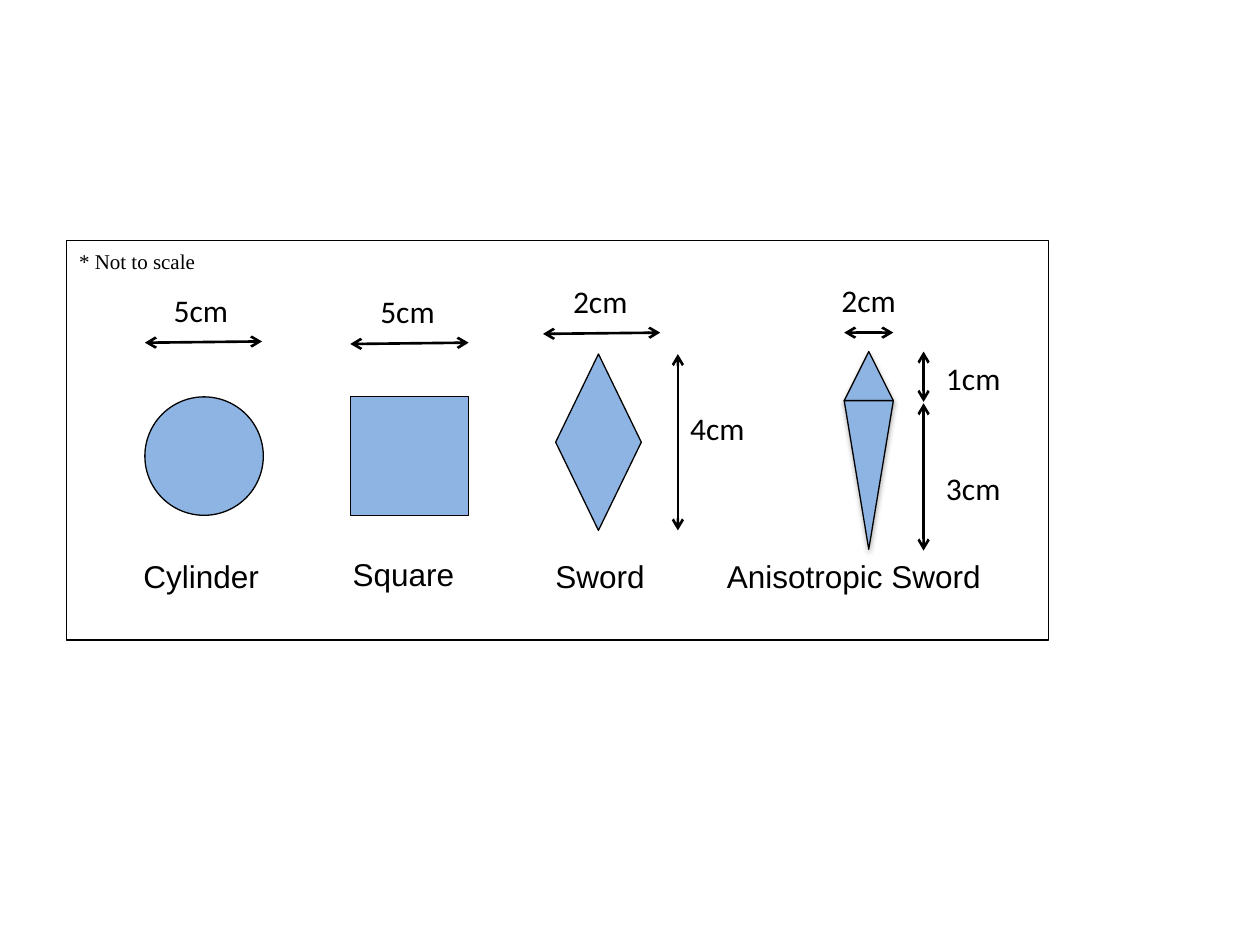
from lxml import etree
from pptx import Presentation
from pptx.dml.color import RGBColor
from pptx.enum.shapes import MSO_CONNECTOR, MSO_SHAPE
from pptx.enum.text import MSO_AUTO_SIZE
from pptx.oxml import parse_xml
from pptx.oxml.ns import nsdecls, qn
from pptx.util import Inches, Pt

BLACK = RGBColor.from_string("000000")
BLUE = RGBColor.from_string("8EB4E3")
SHADOW = (
    f'<a:outerShdw {nsdecls("a")} blurRad="40000" dist="23000" dir="5400000" rotWithShape="0">'
    '<a:srgbClr val="000000"><a:alpha val="35000"/></a:srgbClr></a:outerShdw>'
)


def add_outlined(shapes, kind, *box):
    """Add a blue preset shape with a thin black outline and no shadow."""
    shape = shapes.add_shape(kind, *map(Inches, box))
    shape.shadow.inherit = False
    shape.fill.solid()
    shape.fill.fore_color.rgb = BLUE
    shape.line.color.rgb = BLACK
    shape.line.width = Pt(0.75)
    return shape


presentation = Presentation()
presentation.slide_width = Inches(10)
presentation.slide_height = Inches(7.5)
slide = presentation.slides.add_slide(presentation.slide_layouts[6])

# Object profiles
add_outlined(slide.shapes, MSO_SHAPE.OVAL, 1.15, 3.15, 0.94, 0.94)
add_outlined(slide.shapes, MSO_SHAPE.RECTANGLE, 2.78, 3.15, 0.94, 0.94)
add_outlined(slide.shapes, MSO_SHAPE.DIAMOND, 4.41, 2.81, 0.68, 1.4)

# The anisotropic sword is a short tip above a long, inverted blade
sword = slide.shapes.add_group_shape()
tip = add_outlined(sword.shapes, MSO_SHAPE.ISOSCELES_TRIANGLE, 6.7, 2.79, 0.39, 0.39)
blade = add_outlined(sword.shapes, MSO_SHAPE.ISOSCELES_TRIANGLE, 6.7, 3.18, 0.39, 1.18)
blade._element.spPr.find(qn("a:xfrm")).set("flipV", "1")
for part in (tip, blade):
    part._element.spPr.find(qn("a:effectLst")).append(parse_xml(SHADOW))

# Dimension arrows: start x, start y, end x, end y
dimensions = [
    (1.15, 2.72, 2.08, 2.71),
    (2.78, 2.73, 3.72, 2.72),
    (4.31, 2.65, 5.24, 2.64),
    (5.38, 2.81, 5.38, 4.21),
    (6.7, 2.64, 7.09, 2.64),
    (7.33, 2.79, 7.33, 3.19),
    (7.33, 3.2, 7.33, 4.37),
]
for ends in dimensions:
    arrow = slide.shapes.add_connector(MSO_CONNECTOR.STRAIGHT, *map(Inches, ends))
    arrow.line.color.rgb = BLACK
    arrow.line.width = Pt(1.5)
    for end in ("a:headEnd", "a:tailEnd"):
        etree.SubElement(arrow.line._get_or_add_ln(), qn(end), type="arrow")
    etree.SubElement(arrow._element.spPr, qn("a:effectLst"))

# Labels: text, left, top, width, height, font, size
names = [
    ("Cylinder", 1.04, 4.37, 1.13),
    ("Square", 2.7, 4.36, 1.02),
    ("Sword", 4.31, 4.37, 0.92),
    ("Anisotropic Sword", 5.67, 4.37, 2.25),
]
measures = [
    ("5cm", 1.28, 2.26),
    ("5cm", 2.92, 2.27),
    ("2cm", 4.45, 2.19),
    ("4cm", 5.38, 3.2),
    ("2cm", 6.58, 2.18),
    ("1cm", 7.41, 2.8),
    ("3cm", 7.41, 3.67),
]
labels = [(*name, 0.4, "Arial", 18) for name in names]
labels += [(*measure, 0.64, 0.4, "Calibri", 18) for measure in measures]
labels.append(("* Not to scale", 0.53, 1.92, 1.13, 0.3, "Times New Roman", 12))
for text, left, top, width, height, font_name, size in labels:
    label = slide.shapes.add_textbox(*map(Inches, (left, top, width, height)))
    label.text_frame.word_wrap = False
    label.text_frame.auto_size = MSO_AUTO_SIZE.SHAPE_TO_FIT_TEXT
    paragraph = label.text_frame.paragraphs[0]
    paragraph.text = text
    paragraph.font.name = font_name
    paragraph.font.size = Pt(size)
    paragraph.font.color.rgb = BLACK

frame = add_outlined(slide.shapes, MSO_SHAPE.RECTANGLE, 0.53, 1.91, 7.79, 3.17)
frame.fill.background()

presentation.save("out.pptx")
